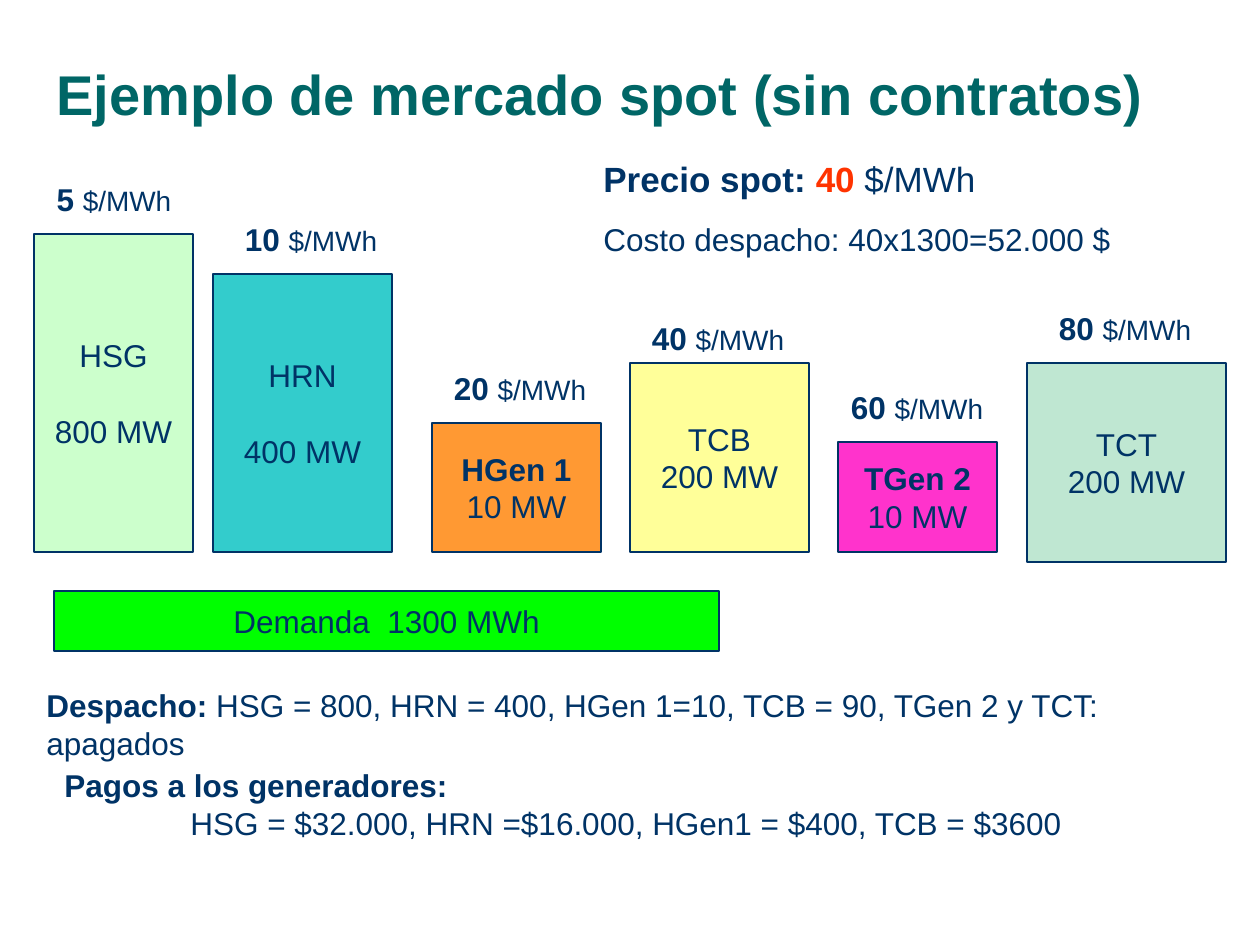
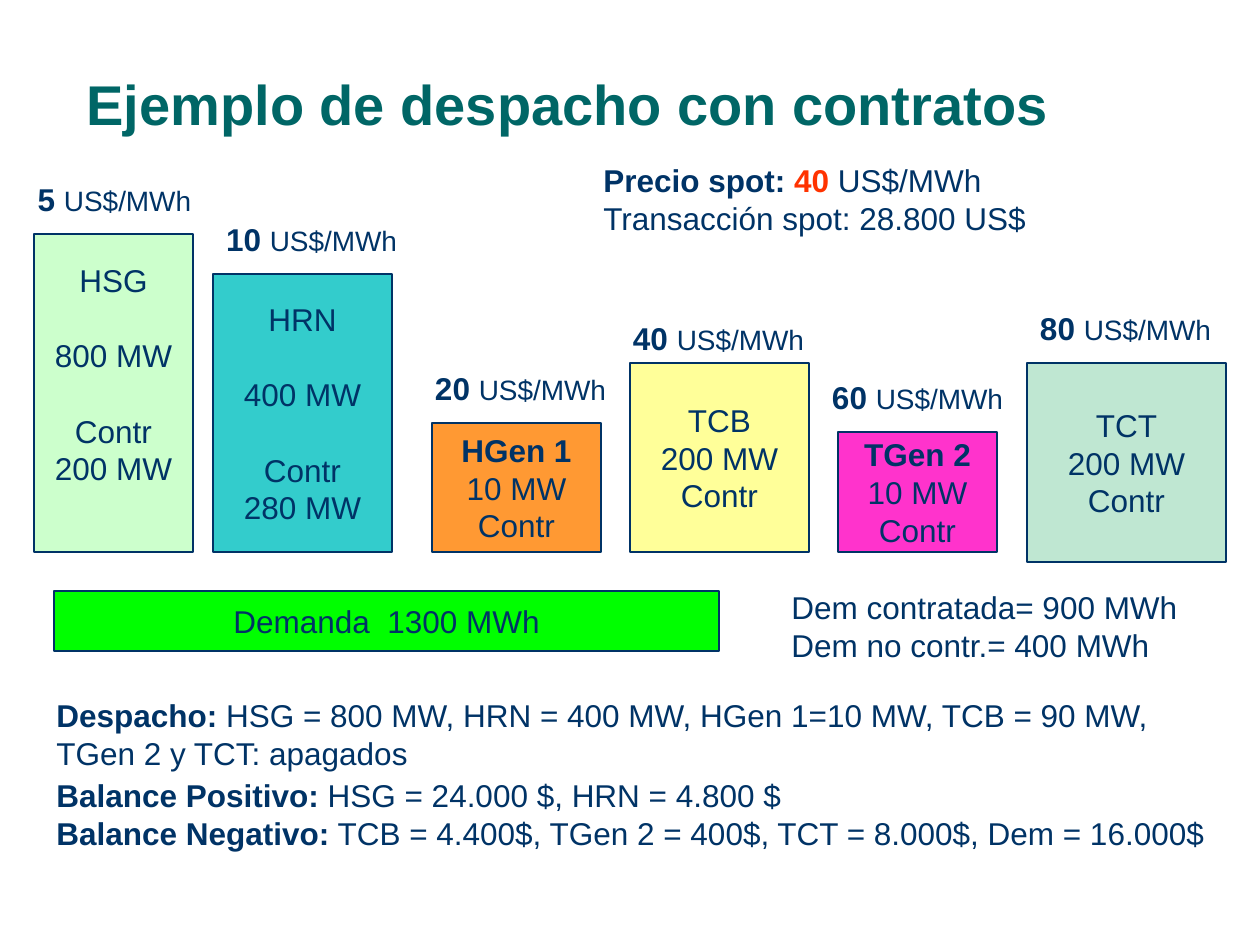
from dataclasses import dataclass

from pptx import Presentation
from pptx.dml.color import RGBColor
from pptx.enum.shapes import MSO_SHAPE
from pptx.enum.text import MSO_ANCHOR, MSO_AUTO_SIZE, PP_ALIGN
from pptx.util import Emu, Pt

PX = 914400 // 126
FONT = "Arial"
COLORS = {
    "title": "006666", "text": "003366", "accent": "FF3300", "demand": "00FF00",
    "HSG": "CCFFCC", "HRN": "33CCCC", "HGen 1": "FF9933",
    "TCB": "FFFF99", "TGen 2": "FF33CC", "TCT": "BFE7D2",
}
BLANK_LINE = 21.5


@dataclass
class Run:
    text: str
    bold: bool = False
    size: int = 0
    color: str = ""


@dataclass
class Line:
    runs: list
    size: int = 18
    before: float = 0
    indent: int = 0


@dataclass
class Generator:
    name: str
    power: str
    price: int
    left: int
    top: int
    width: int
    label_center: int
    bottom: int = 552
    label_rise: int = 60
    spaced: bool = False
    bold: bool = False


def plain(text, **options):
    return Line([Run(text)], **options)


def headed(heading, text):
    return Line([Run(heading, bold=True), Run(text)])


def spot_price(unit, size):
    return Line([Run("Precio spot: ", bold=True), Run("40", bold=True, color="accent"),
                 Run(f" {unit}")], size=size)


class MarketDeck:
    """Builds electricity market slides in one shared style."""

    def __init__(self):
        self.presentation = Presentation()
        self.presentation.slide_width = Emu(1260 * PX)
        self.presentation.slide_height = Emu(945 * PX)
        self.slide = None

    def color(self, name):
        return RGBColor.from_string(COLORS[name])

    def box(self, *lengths):
        return [Emu(length * PX) for length in lengths]

    def fill_text(self, frame, lines, align):
        for index, line in enumerate(lines):
            paragraph = frame.paragraphs[0] if index == 0 else frame.add_paragraph()
            paragraph.alignment = align
            paragraph.space_before = Pt(line.before)
            if line.indent:
                paragraph._p.get_or_add_pPr().set("marL", str(line.indent * PX))
            font = paragraph.font
            font.name, font.size = FONT, Pt(line.size)
            font.color.rgb = self.color("text")
            same_weight = len({run.bold for run in line.runs}) == 1
            if same_weight:
                font.bold = line.runs[0].bold
            for item in line.runs:
                run = paragraph.add_run()
                run.text = item.text
                if not same_weight:
                    run.font.bold = item.bold
                if item.size:
                    run.font.size = Pt(item.size)
                if item.color:
                    run.font.color.rgb = self.color(item.color)

    def add_slide(self, title, left, top, width):
        self.slide = self.presentation.slides.add_slide(self.presentation.slide_layouts[5])
        shape = self.slide.shapes.title
        shape.left, shape.top, shape.width, shape.height = self.box(left, top, width, 89)
        frame = shape.text_frame
        frame.text = title
        frame.auto_size = MSO_AUTO_SIZE.NONE
        frame.vertical_anchor = MSO_ANCHOR.BOTTOM
        paragraph = frame.paragraphs[0]
        paragraph.alignment = PP_ALIGN.LEFT
        paragraph.line_spacing = 0.9
        font = paragraph.font
        font.name, font.size, font.bold = FONT, Pt(32), True
        font.color.rgb = self.color("title")

    def add_text(self, left, top, width, height, lines, wrap=True, align=PP_ALIGN.LEFT):
        frame = self.slide.shapes.add_textbox(*self.box(left, top, width, height)).text_frame
        frame.word_wrap = wrap
        frame.auto_size = MSO_AUTO_SIZE.SHAPE_TO_FIT_TEXT
        self.fill_text(frame, lines, align)

    def add_block(self, left, top, width, height, fill, lines):
        shape = self.slide.shapes.add_shape(MSO_SHAPE.RECTANGLE,
                                            *self.box(left, top, width, height))
        shape.shadow.inherit = False
        shape.fill.solid()
        shape.fill.fore_color.rgb = self.color(fill)
        shape.line.color.rgb = self.color("text")
        shape.line.width = Pt(0.75)
        frame = shape.text_frame
        frame.word_wrap = False
        frame.vertical_anchor = MSO_ANCHOR.MIDDLE
        self.fill_text(frame, lines, PP_ALIGN.CENTER)
        return frame

    def add_generator(self, generator, unit, contract=None, raised=0):
        top = generator.top - raised
        gap = BLANK_LINE if generator.spaced else 0
        lines = [Line([Run(generator.name, bold=generator.bold)]),
                 plain(generator.power, before=gap)]
        if contract is not None:
            lines.append(plain("Contr", before=gap))
        if contract:
            lines.append(plain(contract))
        frame = self.add_block(generator.left, top, generator.width,
                               generator.bottom - top, generator.name, lines)
        if contract and generator.name == "HSG":
            frame.margin_bottom += Pt(BLANK_LINE)
        price = Line([Run(f"{generator.price} ", bold=True), Run(unit, size=16)])
        width = 140 if generator.price < 10 else 158
        width += 39 if unit.startswith("US") else 0
        self.add_text(generator.label_center - width // 2, top - generator.label_rise,
                      width, 50, [price], wrap=False, align=PP_ALIGN.CENTER)

    def add_demand(self):
        self.add_block(54, 591, 665, 60, "demand", [plain("Demanda  1300 MWh")])


GENERATORS = [
    Generator("HSG", "800 MW", 5, 34, 234, 159, 114, spaced=True),
    Generator("HRN", "400 MW", 10, 213, 274, 179, 311, spaced=True),
    Generator("HGen 1", "10 MW", 20, 432, 423, 169, 520, bold=True),
    Generator("TCB", "200 MW", 40, 630, 363, 179, 718, label_rise=50),
    Generator("TGen 2", "10 MW", 60, 838, 442, 159, 917, bold=True),
    Generator("TCT", "200 MW", 80, 1027, 363, 199, 1125, bottom=562),
]
CONTRACTS = {"HSG": "200 MW", "HRN": "280 MW"}


def add_spot_slide(deck):
    deck.add_slide("Ejemplo de mercado spot (sin contratos)", 44, 45, 1152)
    for generator in GENERATORS:
        deck.add_generator(generator, "$/MWh")
    deck.add_demand()
    deck.add_text(591, 151, 532, 113, [
        spot_price("$/MWh", 20),
        plain("Costo despacho: 40x1300=52.000 $", before=12),
    ], wrap=False)
    deck.add_text(34, 680, 1181, 89, [
        headed("Despacho:", " HSG = 800, HRN = 400, HGen 1=10, TCB = 90, TGen 2 y TCT: apagados"),
    ])
    deck.add_text(52, 760, 1094, 88, [
        Line([Run("Pagos a los generadores:", bold=True)]),
        plain("HSG = $32.000, HRN =$16.000, HGen1 = $400, TCB = $3600", indent=126),
    ])


def add_contract_slide(deck):
    deck.add_slide("Ejemplo de despacho con contratos", 74, 55, 1111)
    for generator in GENERATORS:
        deck.add_generator(generator, "US$/MWh", CONTRACTS.get(generator.name, ""),
                           raised=10 if generator.name == "TGen 2" else 0)
    deck.add_demand()
    deck.add_text(591, 155, 449, 88, [
        spot_price("US$/MWh", 18),
        plain("Transacción spot: 28.800 US$"),
    ], wrap=False)
    deck.add_text(779, 582, 411, 88, [
        plain("Dem contratada= 900 MWh"),
        plain("Dem no contr.= 400 MWh"),
    ], wrap=False)
    deck.add_text(44, 690, 1181, 89, [
        headed("Despacho:", " HSG = 800 MW, HRN = 400 MW, HGen 1=10 MW, TCB = 90 MW, "
                            "TGen 2 y TCT: apagados"),
    ])
    deck.add_text(44, 770, 1216, 89, [
        headed("Balance Positivo:", " HSG = 24.000 $, HRN = 4.800 $"),
        headed("Balance Negativo:", " TCB = 4.400$, TGen 2 = 400$, TCT = 8.000$, Dem = 16.000$"),
    ])


def main():
    deck = MarketDeck()
    add_spot_slide(deck)
    add_contract_slide(deck)
    deck.presentation.save("out.pptx")


if __name__ == "__main__":
    main()
